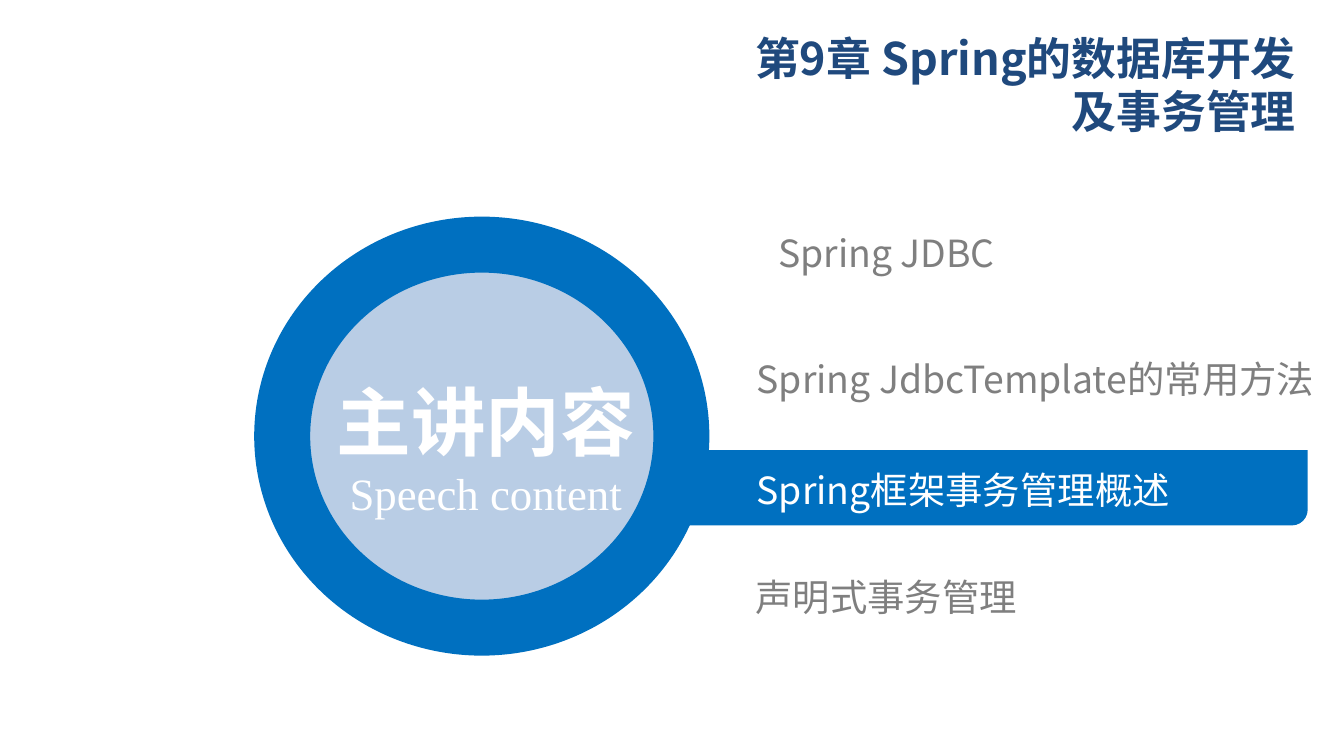
from lxml import etree
from pptx import Presentation
from pptx.dml.color import RGBColor
from pptx.enum import shapes, text
from pptx.oxml.ns import qn
from pptx.util import Inches, Pt

SANS = "Noto Sans CJK SC"
BLUE = "0070C0"
WHITE = "FFFFFF"
GRAY = "7F7F7F"


def rgb(color):
    return RGBColor.from_string(color)


def write(paragraph, words, size, color, font=SANS, bold=False):
    paragraph.text = words
    run = paragraph.runs[0]
    run.font.size = Pt(size)
    run.font.bold = bold
    run.font.color.rgb = rgb(color)
    run.font.name = font
    etree.SubElement(run.font._element, qn("a:ea")).set("typeface", font)


prs = Presentation()
prs.slide_width = Inches(10)
prs.slide_height = Inches(10) * 9 // 16
slide = prs.slides.add_slide(prs.slide_layouts[0])
subtitle = slide.placeholders[1].element
subtitle.getparent().remove(subtitle)

chapter = slide.shapes.title
chapter.left, chapter.top = Inches(5.24), Inches(0.31)
chapter.width, chapter.height = Inches(4.49), Inches(0.63)
frame = chapter.text_frame
frame.margin_left = frame.margin_right = Inches(0.09)
frame.margin_top = frame.margin_bottom = Inches(0.04)
frame.vertical_anchor = text.MSO_ANCHOR.MIDDLE
frame.auto_size = text.MSO_AUTO_SIZE.NONE
write(frame.paragraphs[0], "第9章 Spring的数据库开发及事务管理", 24, "1F497D", bold=True)
frame.paragraphs[0].alignment = text.PP_ALIGN.RIGHT

current_bar = slide.shapes.add_shape(
    shapes.MSO_SHAPE.ROUND_2_DIAG_RECTANGLE,
    Inches(3.75), Inches(3.35), Inches(5.98), Inches(0.56))
current_bar.adjustments[0] = 0.21
current_bar.adjustments[1] = 0
current_bar.shadow.inherit = False
current_bar.fill.solid()
current_bar.fill.fore_color.rgb = rgb(BLUE)
current_bar.line.fill.background()

badge = slide.shapes.add_group_shape()
ring = badge.shapes.add_shape(
    shapes.MSO_SHAPE.OVAL, Inches(2.1), Inches(1.82), Inches(2.97), Inches(2.85))
ring.shadow.inherit = False
ring.fill.solid()
ring.fill.fore_color.rgb = rgb("B9CDE5")
ring.line.color.rgb = rgb(BLUE)
ring.line.width = Pt(30)

heading = badge.shapes.add_textbox(
    Inches(2.08), Inches(2.44), Inches(3.07), Inches(1.45)).text_frame
heading.word_wrap = True
heading.vertical_anchor = text.MSO_ANCHOR.MIDDLE
heading.auto_size = text.MSO_AUTO_SIZE.SHAPE_TO_FIT_TEXT
write(heading.paragraphs[0], "主讲内容", 40, WHITE, bold=True)
heading.paragraphs[0].line_spacing = 1.5
write(heading.add_paragraph(), "Speech content", 24, WHITE, "Times New Roman")
for line in heading.paragraphs:
    line.alignment = text.PP_ALIGN.CENTER

topics = [
    ("Spring框架事务管理概述", 5.63, 3.47, 3.63, WHITE),
    ("Spring JDBC", 5.79, 1.71, 3.63, GRAY),
    ("Spring JdbcTemplate的常用方法", 5.63, 2.65, 4.21, GRAY),
    ("声明式事务管理", 5.62, 4.27, 3.74, GRAY),
]
for words, left, top, width, color in topics:
    topic = slide.shapes.add_textbox(
        Inches(left), Inches(top), Inches(width), Inches(0.34)).text_frame
    topic.margin_left = topic.margin_right = 0
    topic.margin_top = topic.margin_bottom = 0
    topic.word_wrap = True
    topic.vertical_anchor = text.MSO_ANCHOR.MIDDLE
    topic.auto_size = text.MSO_AUTO_SIZE.SHAPE_TO_FIT_TEXT
    write(topic.paragraphs[0], words, 20, color)

prs.save("out.pptx")
